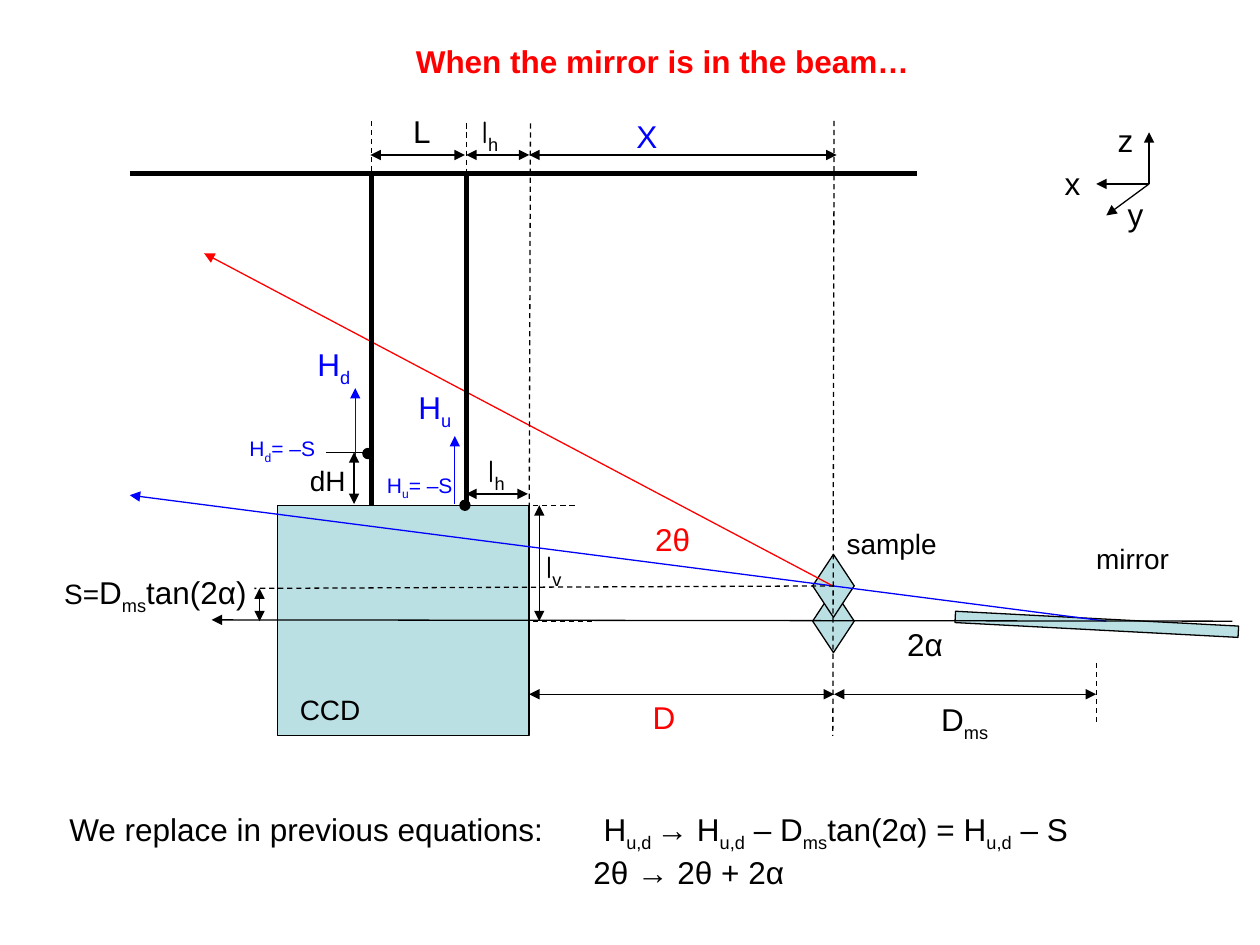
from lxml.etree import SubElement
from pptx import Presentation
from pptx.dml.color import RGBColor as RGB
from pptx.enum.dml import MSO_LINE_DASH_STYLE as DASH
from pptx.enum.shapes import MSO_CONNECTOR as CONNECTOR, MSO_SHAPE as SHAPE
from pptx.enum.text import MSO_ANCHOR as ANCHOR, PP_ALIGN as ALIGN
from pptx.oxml.ns import qn
from pptx.util import Inches, Pt

COLORS = {name: RGB.from_string(value) for name, value in {
    "black": "000000", "red": "FF0000", "blue": "0000FF", "pale": "BBE0E3"}.items()}
THIN = 0.74

prs = Presentation()
prs.slide_width, prs.slide_height = Inches(10), Inches(7.5)
slide = prs.slides.add_slide(prs.slide_layouts[5])


def add_line(start, end, color="black", ends="", width=THIN, dashed=False, parent=slide):
    """Draw a line; ends names the arrowheads, as in "head tail"."""
    line = parent.shapes.add_connector(
        CONNECTOR.STRAIGHT, *[Inches(v) for v in (*start, *end)])
    line.line.color.rgb = COLORS[color]
    line.line.width = Pt(width)
    if dashed:
        line.line.dash_style = DASH.DASH
    for end_name in ends.split():
        SubElement(line.line._get_or_add_ln(), qn(f"a:{end_name}End"), type="triangle")
    SubElement(line._element.spPr, qn("a:effectLst"))


def add_label(text, box, size=18, color="black", font="Arial", parent=slide):
    """Write paragraphs whose subscripts stand between bars, as in "H|d|"."""
    frame = parent.shapes.add_textbox(*[Inches(v) for v in box]).text_frame
    frame.word_wrap = True
    frame.margin_left = frame.margin_right = frame.margin_top = frame.margin_bottom = 0
    for row, row_text in enumerate(text.split("\n")):
        paragraph = frame.add_paragraph() if row else frame.paragraphs[0]
        for place, piece in enumerate(row_text.split("|")):
            if not piece:
                continue
            run = paragraph.add_run()
            run.text = piece
            run.font.size = Pt(size)
            run.font.color.rgb = COLORS[color]
            run.font.name = "Arial" if place else font
            if place % 2:
                run.font._element.set("baseline", "-25000")
    return frame


# Title
title = slide.shapes.title
title.left, title.top, title.width, title.height = [Inches(v) for v in (3.2, 0.28, 4.3, 0.4)]
title.text_frame.text = "When the mirror is in the beam…"
title.text_frame.vertical_anchor = ANCHOR.TOP
heading = title.text_frame.paragraphs[0]
heading.alignment = ALIGN.LEFT
heading_font = heading.runs[0].font
heading_font.size, heading_font.bold, heading_font.name = Pt(18), True, "Arial"
heading_font.color.rgb = COLORS["red"]

# Sample in two positions, mirror, CCD and the two wire ends
bodies = [
    (SHAPE.DIAMOND, (6.45, 4.68, 0.33, 0.5), 0, "pale"),
    (SHAPE.DIAMOND, (6.45, 4.4, 0.33, 0.5), 0, "pale"),
    (SHAPE.RECTANGLE, (7.58, 4.91, 2.25, 0.09), 3, "pale"),
    (SHAPE.RECTANGLE, (2.2, 4.01, 2, 1.83), 0, "pale"),
    (SHAPE.OVAL, (3.65, 3.97, 0.08, 0.08), 0, "black"),
    (SHAPE.OVAL, (2.88, 3.56, 0.08, 0.08), 0, "black"),
]
for kind, box, angle, fill in bodies:
    body = slide.shapes.add_shape(kind, *[Inches(v) for v in box])
    body.rotation = angle
    body.shadow.inherit = False
    body.fill.solid()
    body.fill.fore_color.rgb = COLORS[fill]
    body.line.color.rgb = COLORS["black"]
    body.line.width = Pt(THIN)

# Beams
add_line((8.78, 4.93), (1.03, 3.93), "blue", "tail")
add_line((6.61, 4.65), (1.62, 2.01), "red", "tail")
add_line((9.78, 4.93), (1.68, 4.92), ends="tail")

# Frame with two wires
for start, end in [((3.7, 4.01), (3.7, 1.38)), ((2.95, 4.01), (2.95, 1.38)),
                   ((1.03, 1.38), (7.28, 1.38))]:
    add_line(start, end, width=3)

# Reference lines
for start, end in [
    ((8.7, 5.26), (8.7, 5.76)), ((4.7, 4.93), (4.2, 4.93)), ((6.62, 4.65), (2.02, 4.67)),
    ((6.62, 0.96), (6.61, 5.84)), ((2.95, 0.96), (2.95, 1.38)), ((4.56, 4.01), (3.7, 4.01)),
    ((4.21, 0.98), (4.2, 4.14)), ((3.7, 0.98), (3.7, 1.4)),
]:
    add_line(start, end, dashed=True)

# Dimensions
for start, end in [
    ((6.62, 5.51), (8.7, 5.51)), ((4.2, 5.51), (6.62, 5.51)), ((4.28, 4.01), (4.28, 4.93)),
    ((6.64, 1.23), (4.2, 1.23)), ((3.69, 1.23), (2.94, 1.23)), ((4.2, 1.23), (3.7, 1.23)),
    ((4.19, 3.92), (3.7, 3.92)), ((2.81, 3.59), (2.81, 4)), ((2.06, 4.67), (2.06, 4.93)),
]:
    add_line(start, end, ends="head tail")
add_line((2.97, 3.59), (2.59, 3.59))
add_line((2.82, 3.08), (2.82, 3.62), "blue", "head")
add_line((3.61, 3.46), (3.61, 4), "blue", "head")

# Angle arcs
arcs = [
    (THIN, [(5.72, 4.17), (5.68, 4.19), (5.64, 4.22), (5.61, 4.24), (5.6, 4.27),
            (5.57, 4.31), (5.56, 4.36), (5.56, 4.41), (5.55, 4.46), (5.56, 4.5)]),
    (0.99, [(7.24, 4.92), (7.23, 4.88), (7.23, 4.83), (7.23, 4.79), (7.25, 4.74)]),
]
for width, points in arcs:
    builder = slide.shapes.build_freeform(*points[0], scale=Inches(1))
    builder.add_line_segments(points[1:], close=False)
    arc = builder.convert_to_shape()
    arc.shadow.inherit = False
    arc.fill.background()
    arc.line.color.rgb = COLORS["black"]
    arc.line.width = Pt(width)

# Coordinate axes
axes = slide.shapes.add_group_shape()
for tip, name, corner in [((9.12, 1.05), "z", (8.87, 0.96)), ((8.7, 1.46), "x", (8.45, 1.3)),
                          ((8.78, 1.71), "y", (8.95, 1.55))]:
    add_line((9.12, 1.46), tip, ends="tail", parent=axes)
    add_label(name, (*corner, 0.17, 0.3), parent=axes)

# Labels
for text, box, size, color in [
    ("D|ms|", (7.47, 5.56, 0.53, 0.34), 18, "black"),
    ("D", (5.18, 5.54, 0.29, 0.3), 18, "red"),
    ("2α", (7.2, 4.96, 0.35, 0.3), 18, "black"),
    ("2θ", (5.2, 4.13, 0.35, 0.3), 18, "red"),
    ("X", (5.05, 0.93, 0.2, 0.3), 18, "blue"),
    ("L", (3.28, 0.89, 0.17, 0.3), 18, "black"),
    ("mirror", (8.7, 4.3, 0.75, 0.27), 16, "black"),
    ("sample", (6.72, 4.18, 0.8, 0.27), 16, "black"),
    ("CCD", (2.38, 5.5, 0.6, 0.27), 16, "black"),
    ("dH", (2.46, 3.68, 0.35, 0.27), 16, "black"),
    ("H|u|= –S", (3.07, 3.75, 0.55, 0.23), 12, "blue"),
    ("H|d|= –S", (1.98, 3.46, 0.55, 0.23), 12, "blue"),
    ("H|d|", (2.52, 2.74, 0.34, 0.34), 18, "blue"),
    ("H|u|", (3.32, 3.08, 0.34, 0.34), 18, "blue"),
]:
    add_label(text, box, size, color)
for text, corner in [("l|v|", (4.33, 4.34)), ("l|h|", (3.87, 3.58)), ("l|h|", (3.82, 0.89))]:
    add_label(text, (*corner, 0.25, 0.34), font="Comic Neue")
shift = add_label("S=||D|ms|tan(2α)", (0.51, 4.55, 1.6, 0.34))
shift.paragraphs[0].runs[0].font.size = Pt(16)

# Equations, with the right-hand sides set by a tab stop and an indent
equations = add_label(
    "We replace in previous equations:\tH|u,d |→ H|u,d| – D|ms|tan(2α) = H|u,d| – S\n"
    "2θ → 2θ + 2α", (0.55, 6.43, 8.4, 0.64))
replacement, angle_change = [p._p.get_or_add_pPr() for p in equations.paragraphs]
tabs = SubElement(replacement, qn("a:tabLst"))
SubElement(tabs, qn("a:tab"), pos=str(Inches(4.24)), algn="l")
angle_change.set("marL", str(Inches(4.16)))
angle_change.set("indent", "0")

prs.save("out.pptx")
